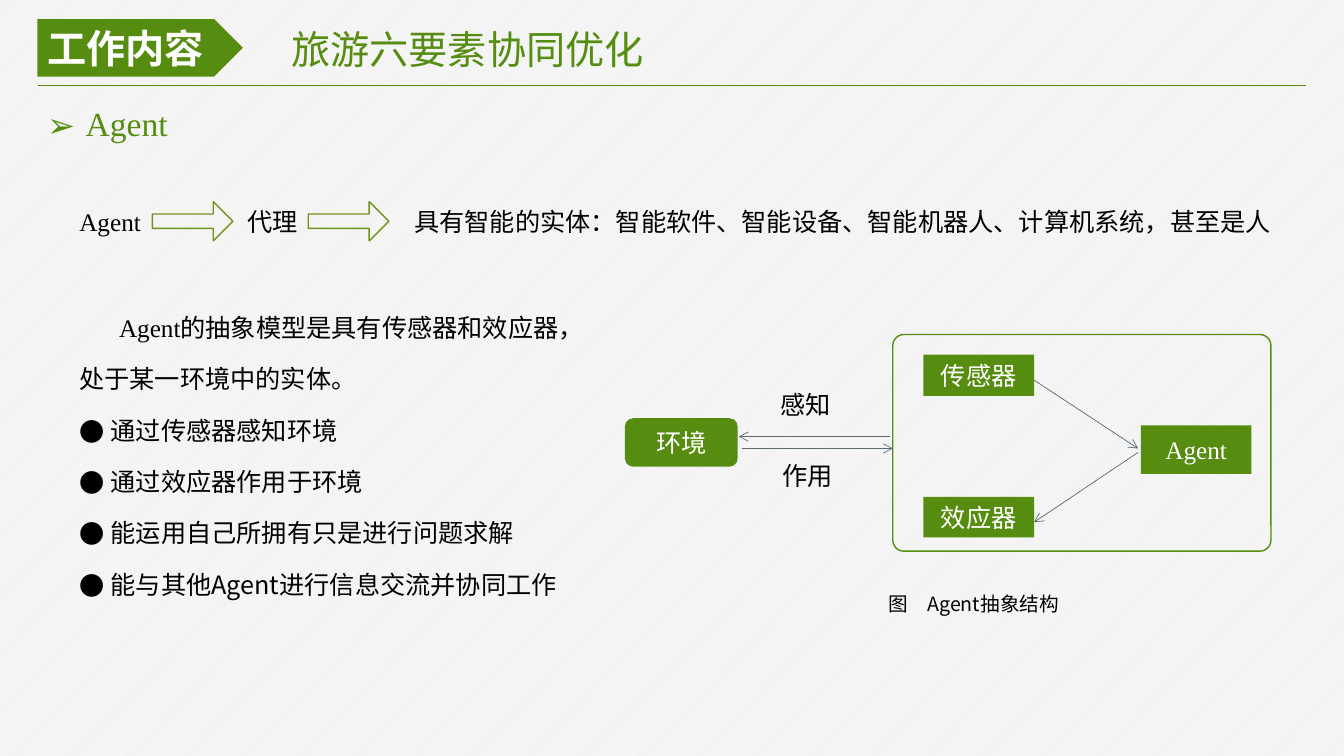
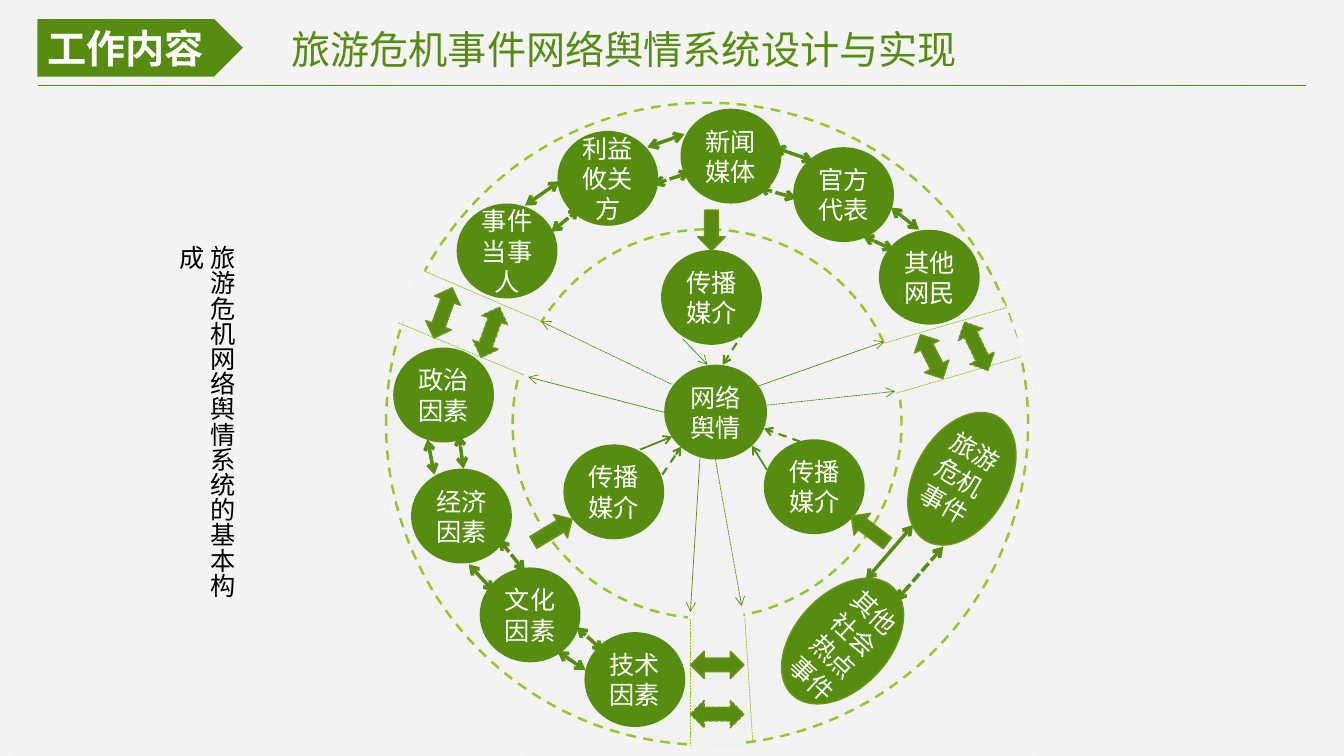
from lxml import etree
from pptx import Presentation
from pptx.dml.color import RGBColor
from pptx.enum.dml import MSO_LINE, MSO_PATTERN
from pptx.enum.shapes import MSO_CONNECTOR, MSO_SHAPE
from pptx.enum.text import MSO_ANCHOR, MSO_AUTO_SIZE, PP_ALIGN
from pptx.oxml.ns import qn
from pptx.util import Cm, Pt

GREEN = RGBColor(0x56, 0x8D, 0x11)
EDGE = RGBColor(0x70, 0x93, 0x1A)
LIME = RGBColor(0x98, 0xC7, 0x23)
SLATE = RGBColor(0x5B, 0x69, 0x73)
PAPER = RGBColor(0xF2, 0xF2, 0xF2)
WHITE = RGBColor(0xFF, 0xFF, 0xFF)
BLACK = RGBColor(0, 0, 0)

SANS, SERIF, CALIBRI = "Noto Sans CJK SC", "Times New Roman", "Calibri"
LEFT, CENTER = PP_ALIGN.LEFT, PP_ALIGN.CENTER
TOP, MIDDLE = MSO_ANCHOR.TOP, MSO_ANCHOR.MIDDLE
DASH, DOTS = MSO_LINE.DASH, MSO_LINE.SQUARE_DOT
PLATE, RECT = MSO_SHAPE.PENTAGON, MSO_SHAPE.RECTANGLE
ROUNDED, OVAL = MSO_SHAPE.ROUNDED_RECTANGLE, MSO_SHAPE.OVAL
ARROW, DOUBLE_ARROW = MSO_SHAPE.RIGHT_ARROW, MSO_SHAPE.LEFT_RIGHT_ARROW


class Deck:
    """House style plus the slide being filled; all lengths are centimetres."""

    def __init__(self):
        self.prs = Presentation()
        self.prs.slide_width, self.prs.slide_height = Cm(33.87), Cm(19.05)
        fill = self.prs.slide_master.background.fill
        fill.patterned()
        fill.pattern = MSO_PATTERN.LIGHT_UPWARD_DIAGONAL
        fill.fore_color.rgb, fill.back_color.rgb = WHITE, PAPER

    def slide(self, title, face):
        """Start a slide with the shared header; face is its default Latin font."""
        self.face = face
        self.s = self.prs.slides.add_slide(self.prs.slide_layouts[5])
        sp = self.s.shapes.title
        sp.left, sp.top, sp.width, sp.height = map(Cm, (7.09, 0.51, 19.84, 1.45))
        tf = sp.text_frame
        tf.text = title
        tf.auto_size = MSO_AUTO_SIZE.NONE
        tf.vertical_anchor = TOP
        self.style(tf.paragraphs[0], 28, GREEN, SANS)
        self.shape(PLATE, (0.94, 0.48, 5.18, 1.45), GREEN, text="工作内容",
                   size=28, bold=True, align=LEFT, face=SANS)
        self.line((0.97, 2.16), (32.92, 2.16), GREEN, 1)

    def style(self, p, size, color, face=None, bold=False, align=LEFT):
        p.alignment = align
        for r in p.runs:
            r.font.size, r.font.bold = Pt(size), bold
            r.font.color.rgb = color
            r.font.name = face or self.face
            ea = etree.SubElement(r.font._element, qn("a:ea"))
            ea.set("typeface", SANS)

    def bullet(self, p, char, color, indent):
        pPr = p._p.get_or_add_pPr()
        pPr.set("marL", str(Cm(indent)))
        pPr.set("indent", str(-Cm(indent)))
        clr = etree.SubElement(pPr, qn("a:buClr"))
        etree.SubElement(clr, qn("a:srgbClr")).set("val", str(color))
        etree.SubElement(pPr, qn("a:buFont")).set("typeface", SANS)
        etree.SubElement(pPr, qn("a:buChar")).set("char", char)

    def text(self, at, text, size=18, color=BLACK, face=None, align=LEFT,
             wrap=True, rot=0):
        """Add a text box and return its text frame."""
        sp = self.s.shapes.add_textbox(*map(Cm, at))
        sp.rotation = rot
        tf = sp.text_frame
        tf.text = text
        tf.word_wrap = wrap
        tf.auto_size = MSO_AUTO_SIZE.SHAPE_TO_FIT_TEXT
        for p in tf.paragraphs:
            self.style(p, size, color, face, align=align)
        return tf

    def shape(self, kind, at, fill=None, line=None, width=1, dash=None, rot=0,
              adj=None, text="", size=18, bold=False, align=CENTER, face=None):
        sp = self.s.shapes.add_shape(kind, *map(Cm, at))
        sp.shadow.inherit = False
        sp.rotation = rot
        if adj is not None:
            sp.adjustments[0] = adj
        if fill is None:
            sp.fill.background()
        else:
            sp.fill.solid()
            sp.fill.fore_color.rgb = fill
        if line is None:
            sp.line.fill.background()
        else:
            self.stroke(sp.line, line, width, dash)
        if text:
            tf = sp.text_frame
            tf.text = text
            tf.word_wrap = True
            tf.vertical_anchor = MIDDLE
            self.style(tf.paragraphs[0], size, WHITE, face, bold, align)

    def stroke(self, line, color, width, dash):
        line.color.rgb, line.width = color, Pt(width)
        if dash:
            line.dash_style = dash

    def line(self, start, end, color, width, dash=None, heads=()):
        """Draw a straight line; heads names the ends with an open arrow."""
        c = self.s.shapes.add_connector(MSO_CONNECTOR.STRAIGHT,
                                        *map(Cm, start + end))
        self.stroke(c.line, color, width, dash)
        ln = c.line._get_or_add_ln()
        for head in heads:
            etree.SubElement(ln, qn(f"a:{head}")).set("type", "arrow")
        etree.SubElement(c._element.spPr, qn("a:effectLst"))

    def arrow(self, start, end, color, width, dash=None):
        self.line(start, end, color, width, dash, ("tailEnd",))

    def exchange(self, start, end, dash=None):
        self.line(start, end, GREEN, 2.5, dash, ("headEnd", "tailEnd"))

    def node(self, x, y, text, width=2.54):
        self.shape(OVAL, (x, y, width, 2.39), GREEN, text=text)

    def ring(self, radius, fill=None):
        x, y = 17.82, 10.68
        self.shape(OVAL, (x - radius, y - radius, 2 * radius, 2 * radius),
                   fill, LIME, 1.75, DASH)


def agent_slide(d):
    d.slide("旅游六要素协同优化", SANS)
    tf = d.text((0.94, 2.46, 31.98, 1.27), "Agent", 24, GREEN, SERIF)
    d.bullet(tf.paragraphs[0], "➢", GREEN, 0.97)

    d.text((1.75, 5.08, 2.06, 1.02), "Agent", face=SERIF, wrap=False)
    d.text((5.99, 5.08, 1.78, 1.02), "代理", wrap=False)
    d.text((10.19, 5.08, 22.33, 1.02),
           "具有智能的实体：智能软件、智能设备、智能机器人、计算机系统，甚至是人")
    for x in (3.84, 7.77):
        d.shape(ARROW, (x, 5.08, 2.03, 0.99), line=EDGE, adj=0.366)

    tf = d.text((1.75, 7.21, 13.16, 8.1), "\n".join([
        "Agent的抽象模型是具有传感器和效应器，处于某一环境中的实体。",
        "通过传感器感知环境",
        "通过效应器作用于环境",
        "能运用自己所拥有只是进行问题求解",
        "能与其他Agent进行信息交流并协同工作"]))
    intro, *points = tf.paragraphs
    for p in tf.paragraphs:
        p.line_spacing = 1.7
    intro.runs[0].font.name = SERIF
    intro._p.get_or_add_pPr().set("indent", str(Cm(1)))
    for p in points:
        d.bullet(p, "●", BLACK, 0.79)

    d.shape(ROUNDED, (22.5, 8.43, 9.53, 5.46), line=GREEN, adj=0.051)
    d.shape(ROUNDED, (15.75, 10.54, 2.84, 1.22), GREEN, text="环境")
    for x, y, h, name, face in (
            (23.27, 8.94, 1.04, "传感器", SANS),
            (23.27, 12.52, 1.02, "效应器", SANS),
            (28.75, 10.72, 1.22, "Agent", SERIF)):
        d.shape(RECT, (x, y, 2.79, h), GREEN, text=name, face=face)
    for start, end in (
            ((22.43, 11), (18.62, 11)),
            ((18.69, 11.3), (22.5, 11.3)),
            ((26.06, 9.58), (28.68, 11.3)),
            ((28.68, 11.4), (26.06, 13.16))):
        d.arrow(start, end, SLATE, 0.5)
    d.text((19.41, 9.68, 2.16, 1.02), "感知")
    d.text((19.46, 11.48, 2.16, 1.02), "作用")
    d.text((18.67, 14.78, 11.73, 1.02), "图　Agent抽象结构", 14, align=CENTER)


def opinion_slide(d):
    d.slide("旅游危机事件网络舆情系统设计与实现", CALIBRI)
    d.ring(8.09, PAPER)
    for x, y, name in (
            (9.91, 8.76, "政治因素"), (10.36, 11.81, "经济因素"),
            (12.09, 14.3, "文化因素"), (14.73, 15.93, "技术因素")):
        d.node(x, y, name)
    d.ring(4.9)
    for x, y, w, rot in (
            (10.01, 8.18, 7.19, 24), (20.57, 8.46, 5.13, 340),
            (16.18, 16.31, 3.71, 90)):
        d.shape(RECT, (x, y, w, 1.4), PAPER, rot=rot)

    for oval, box, rot, name in (
            ((23.06, 10.26, 2.36, 3.61), (23.29, 10.8, 1.91, 2.57), 30,
             "旅游危机事件"),
            ((20.04, 14.3, 2.39, 3.71), (20.04, 14.68, 2.26, 4.09), 43,
             "其他社会热点事件")):
        d.shape(OVAL, oval, GREEN, EDGE, rot=rot)
        d.text(box, name, color=WHITE, rot=rot)

    d.node(16.74, 9.19, "网络舆情", 2.59)
    for x, y in ((14.2, 11.2), (19.25, 11.07), (16.66, 6.3)):
        d.node(x, y, "传播媒介")
    for x, y, name in (
            (11.51, 5.13, "事件当事人"), (14.05, 3.3, "利益攸关方"),
            (17.15, 2.74, "新闻媒体"), (19.99, 3.71, "官方代表"),
            (22.15, 5.79, "其他网民")):
        d.node(x, y, name)

    # Neighbours are joined by one solid and one dashed arrow
    for solid, dashed in (
            (((21.82, 14.61), (23.01, 13.23)), ((22.58, 15.14), (23.77, 13.77))),
            (((11.81, 14.22), (12.45, 14.91)), ((13.23, 14.4), (12.57, 13.59))),
            (((10.77, 11.07), (10.95, 11.96)), ((11.68, 11.81), (11.56, 10.95))),
            (((14.05, 16.41), (14.76, 16.89)), ((15.21, 16.41), (14.53, 15.8))),
            (((14.1, 4.57), (13.23, 5.18)), ((13.89, 5.84), (14.61, 5.26))),
            (((17.25, 3.38), (16.31, 3.71)), ((17.4, 4.34), (16.46, 4.65))),
            (((20.5, 4.06), (19.51, 3.71)), ((20.07, 5), (19.1, 4.72))),
            (((23.16, 5.79), (22.45, 5.23)), ((22.53, 6.3), (21.74, 5.94)))):
        d.exchange(*solid)
        d.exchange(*dashed, DOTS)

    for start, end in (
            ((10.69, 6.83), (13.72, 8.13)), ((10.03, 8.13), (13.21, 9.45)),
            ((22.23, 8.66), (25.37, 7.75)), ((22.58, 9.91), (25.73, 8.99)),
            ((17.4, 15.6), (17.4, 18.77)), ((18.77, 15.57), (18.97, 18.67))):
        d.line(start, end, LIME, 0.5, DOTS)

    for kind, x, y, w, rot, dash in (
            (ARROW, 13.36, 13.03, 1.14, 329, None),
            (ARROW, 21.34, 13, 1.14, 217, None),
            (ARROW, 17.42, 5.46, 1.02, 90, None),
            (DOUBLE_ARROW, 10.49, 7.54, 1.35, 290, None),
            (DOUBLE_ARROW, 11.68, 8.03, 1.35, 290, DOTS),
            (DOUBLE_ARROW, 22.86, 8.64, 1.24, 243, None),
            (DOUBLE_ARROW, 23.93, 8.38, 1.35, 244, DOTS),
            (DOUBLE_ARROW, 17.4, 16.41, 1.35, 0, None),
            (DOUBLE_ARROW, 17.4, 17.65, 1.35, 0, DOTS)):
        d.shape(kind, (x, y, w, 0.69), GREEN, EDGE, dash=dash, rot=rot)

    for start, end, width, dash in (
            ((16.13, 11.33), (16.94, 11), 1.25, None),
            ((16.69, 11.96), (17.17, 11.25), 1.5, DASH),
            ((17.2, 8.53), (17.83, 9.19), 0.5, None),
            ((18.77, 8.33), (18.21, 9.19), 1.5, DASH),
            ((20.17, 11.13), (19.25, 10.8), 1.5, DASH),
            ((19.33, 11.84), (18.95, 11.23), 1.25, None),
            ((19.1, 9.73), (22.28, 8.61), 0.5, None),
            ((19.33, 10.21), (22.56, 9.86), 0.5, DOTS),
            ((17.65, 11.4), (17.4, 15.42), 0.5, None),
            ((18.03, 11.58), (18.69, 15.27), 0.5, DOTS),
            ((16.74, 10.39), (13.31, 9.5), 0.5, None),
            ((16.92, 9.68), (13.64, 8.1), 0.5, DOTS)):
        d.arrow(start, end, GREEN, width, dash)

    tf = d.text((4.83, 5.94, 1.27, 9.83), "旅游危机网络舆情系统的基本构成")
    tf._txBody.bodyPr.set("vert", "eaVert")


def main():
    d = Deck()
    agent_slide(d)
    opinion_slide(d)
    d.prs.save("out.pptx")


if __name__ == "__main__":
    main()
